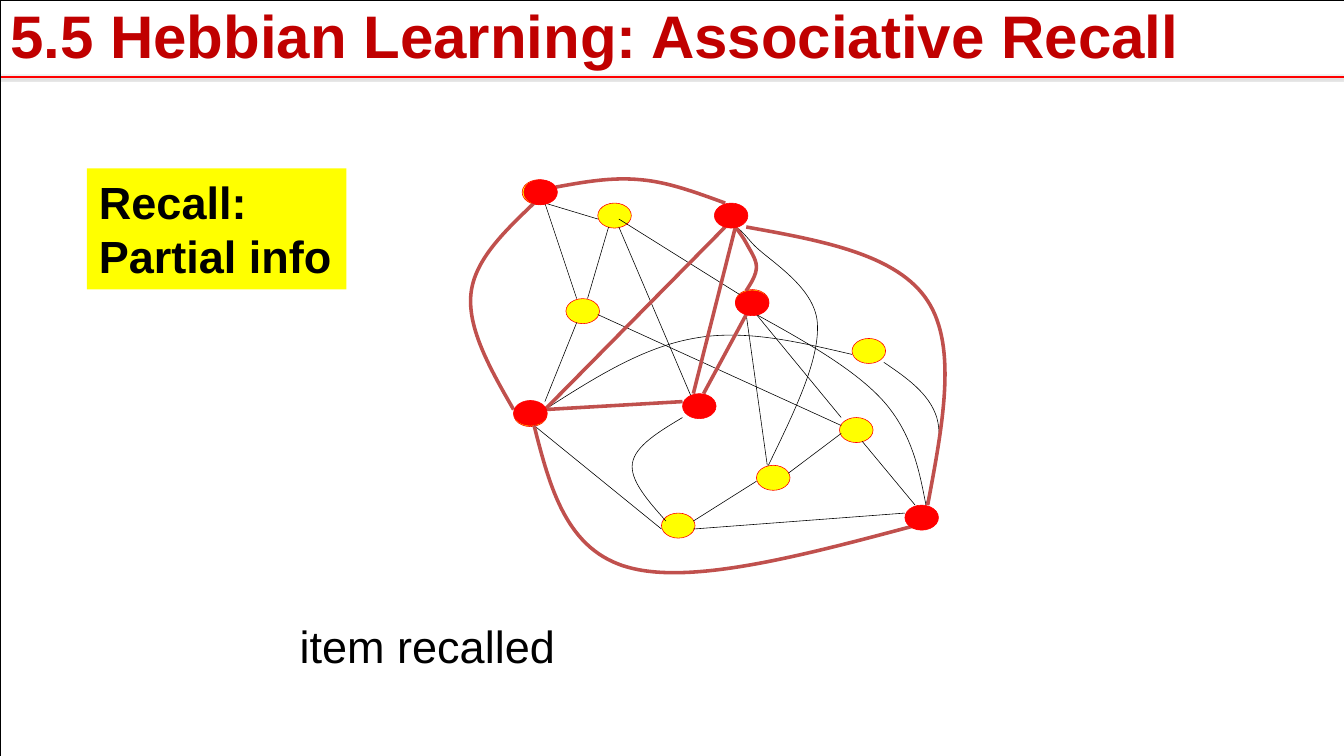
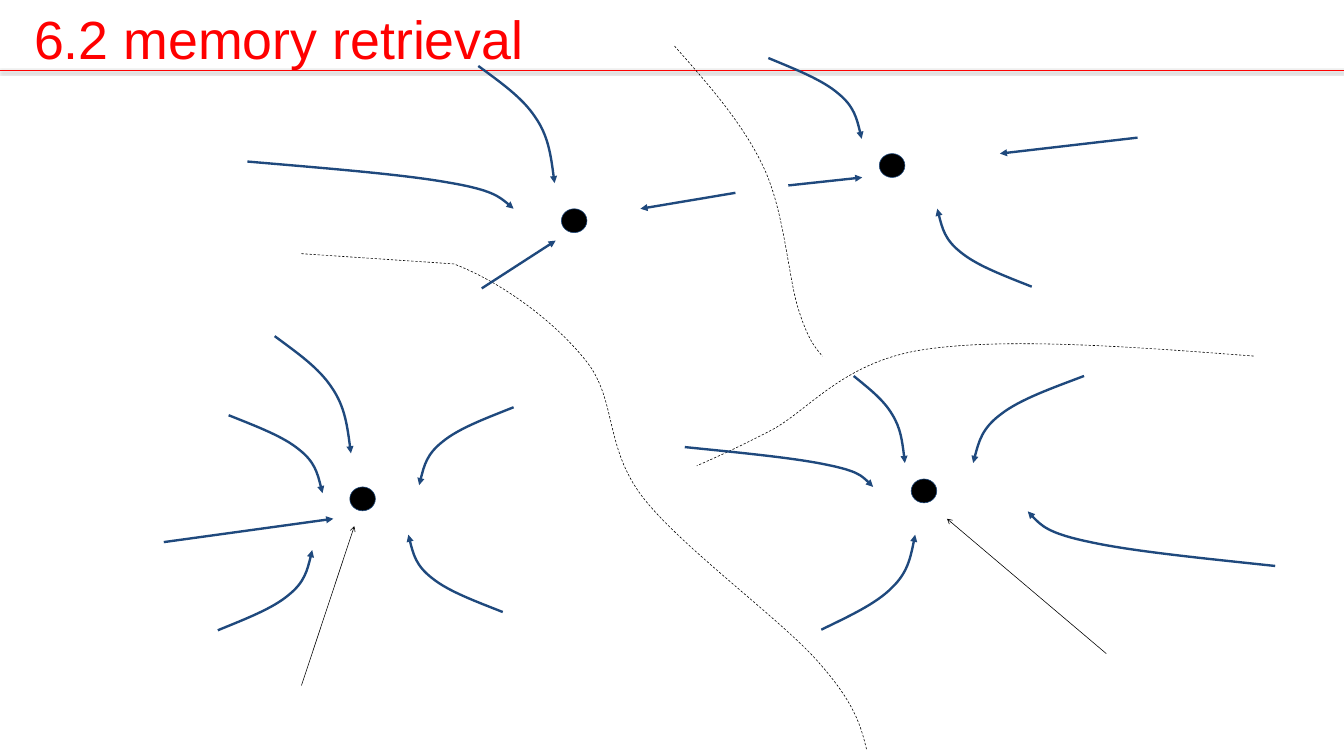
import pptx
import pptx.util
import pptx.dml.color
import pptx.enum.dml
import pptx.enum.shapes
import pptx.enum.text
import pptx.oxml
import pptx.oxml.ns
from dataclasses import dataclass
from lxml import etree

Inches, Pt = pptx.util.Inches, pptx.util.Pt
qn = pptx.oxml.ns.qn
SHAPE = pptx.enum.shapes.MSO_SHAPE
ANCHOR = pptx.enum.text.MSO_ANCHOR
WIDTH, HEIGHT = 23.63, 13.29


@dataclass(frozen=True)
class Theme:
    font: str = "Arial"
    black: str = "000000"
    red: str = "FF0000"
    dark_red: str = "C00000"
    brick: str = "C0504D"
    yellow: str = "FFFF00"
    navy: str = "1F497D"
    section_size: int = 76
    title_size: int = 68
    body_size: int = 57
    thin: float = 0.75
    rule: float = 2
    flow: float = 3
    strong: float = 4.5


T = Theme()
LINK = dict(color=T.black, width=T.thin)
RECALLED = dict(color=T.brick, width=T.strong)
BOUNDARY = dict(color=T.black, width=T.thin, dash=True)
FLOW = dict(color=T.navy, width=T.flow, head="triangle")
POINTER = dict(color=T.black, width=T.thin, head="arrow")


def rgb(value):
    return pptx.dml.color.RGBColor.from_string(value)


class Deck:
    def __init__(self):
        self.prs = pptx.Presentation()
        self.prs.slide_width = Inches(WIDTH)
        self.prs.slide_height = Inches(HEIGHT)
        self.s = None

    def slide(self, title, box, rule_y, **style):
        """Start a slide with its title and the red rule below it."""
        self.s = self.prs.slides.add_slide(self.prs.slide_layouts[5])
        sp = self.s.shapes.title
        sp.left, sp.top, sp.width, sp.height = map(Inches, box)
        self.set_text(sp, [title], **style)
        self.rule(rule_y)

    def set_text(self, sp, lines, anchor=ANCHOR.TOP, **style):
        tf = sp.text_frame
        frame = dict(word_wrap=False, vertical_anchor=anchor,
                     auto_size=pptx.enum.text.MSO_AUTO_SIZE.NONE,
                     margin_left=Inches(0.21), margin_right=Inches(0.21),
                     margin_top=Inches(0.11), margin_bottom=Inches(0.11))
        for name, value in frame.items():
            setattr(tf, name, value)
        font = dict(name=T.font, size=Pt(style["size"]), bold=style.get("bold", False))
        for i, line in enumerate(lines):
            p = tf.paragraphs[0] if i == 0 else tf.add_paragraph()
            p.alignment = pptx.enum.text.PP_ALIGN.LEFT
            r = p.add_run()
            r.text = line
            for name, value in font.items():
                setattr(r.font, name, value)
            r.font.color.rgb = rgb(style.get("color", T.black))

    def text(self, lines, box, **style):
        self.set_text(self.s.shapes.add_textbox(*map(Inches, box)), lines, **style)

    def shape(self, kind, box, fill=None, line=None):
        sp = self.s.shapes.add_shape(kind, *map(Inches, box))
        sp.shadow.inherit = False
        if fill:
            sp.fill.solid()
            sp.fill.fore_color.rgb = rgb(fill)
        else:
            sp.fill.background()
        if line:
            self.stroke(sp, line, T.thin)
        else:
            sp.line.fill.background()
        return sp

    def stroke(self, sp, color, width, dash=False, head=None):
        sp.line.color.rgb = rgb(color)
        sp.line.width = Pt(width)
        if dash:
            sp.line.dash_style = pptx.enum.dml.MSO_LINE.DASH
        if head:
            ln = sp._element.spPr.find(qn("a:ln"))
            etree.SubElement(ln, qn("a:tailEnd"), type=head)

    def line(self, start, end, **style):
        """Draw a straight connector and return its effect list."""
        c = self.s.shapes.add_connector(
            pptx.enum.shapes.MSO_CONNECTOR.STRAIGHT, *map(Inches, start + end))
        self.stroke(c, **style)
        return etree.SubElement(c._element.spPr, qn("a:effectLst"))

    def rule(self, y):
        effects = self.line((0, y), (WIDTH, y), color=T.red, width=T.rule)
        shadow = etree.SubElement(effects, qn("a:outerShdw"), blurRad="40000",
                                  dist="20000", dir="5400000", rotWithShape="0")
        color = etree.SubElement(shadow, qn("a:srgbClr"), val=T.black)
        etree.SubElement(color, qn("a:alpha"), val="38000")

    def curve(self, points, **style):
        """Draw cubic curves: a start, then two handles and an end for each."""
        points = [(Inches(x), Inches(y)) for x, y in points]
        builder = self.s.shapes.build_freeform(*points[0])
        builder.add_line_segments(points[1:], close=False)
        sp = builder.convert_to_shape()
        segments = list(sp._element.iter(qn("a:lnTo")))
        for i in range(0, len(segments), 3):
            cubic = etree.Element(qn("a:cubicBezTo"))
            segments[i].addprevious(cubic)
            for segment in segments[i:i + 3]:
                cubic.append(segment[0])
                segment.getparent().remove(segment)
        sp.shadow.inherit = False
        sp.fill.background()
        self.stroke(sp, **style)

    def flow(self, start, end):
        """Draw a bent arrow; every one has the same proportions."""
        bend = [(0, 0), (0.29, 0.14), (0.58, 0.27), (0.75, 0.44),
                (0.92, 0.6), (0.96, 0.8), (1, 1)]
        (x, y), (x2, y2) = start, end
        self.curve([(x + u * (x2 - x), y + v * (y2 - y)) for u, v in bend], **FLOW)

    def ellipses(self, corners, size, fill, line):
        for corner in corners:
            self.shape(SHAPE.OVAL, corner + size, fill, line)


def recall_slide(d):
    d.slide("5.5 Hebbian Learning: Associative Recall", (-0.03, -0.14, 21.17, 1.49), 1.35,
            size=T.section_size, color=T.dark_red, bold=True)
    d.shape(SHAPE.RECTANGLE, (0, 0, WIDTH, HEIGHT), line=T.black)

    # Resting neurons
    neuron = (0.59, 0.44)
    d.ellipses([(9.18, 3.16), (10.51, 3.57), (9.95, 5.25), (11.63, 9.02), (14.98, 5.95),
                (13.3, 8.18), (14.76, 7.34), (9.03, 7.06), (12.93, 5.09)],
               neuron, T.yellow, T.red)

    # Weak links
    for start, end in [
            ((10.7, 3.99), (10.33, 5.25)), ((10.88, 3.99), (12.19, 7.06)),
            ((13.12, 5.53), (13.49, 8.18)), ((10.88, 3.85), (13.12, 5.25)),
            ((13.3, 5.53), (14.79, 7.34)), ((13.86, 8.32), (14.79, 7.62)),
            ((15.16, 7.76), (16.09, 8.88)), ((12.19, 9.16), (13.3, 8.46)),
            ((9.39, 7.48), (11.63, 9.3)), ((10.51, 5.53), (14.79, 7.48)),
            ((12.19, 9.3), (15.91, 9.02)), ((9.58, 3.57), (10.14, 5.25)),
            ((9.58, 3.57), (10.51, 3.85)), ((10.14, 5.67), (9.58, 7.06))]:
        d.line(start, end, **LINK)
    for points in [
            [(12, 7.34), (11.58, 7.59), (11.17, 7.84), (11.12, 8.14),
             (11.07, 8.44), (11.39, 8.8), (11.71, 9.16)],
            [(15.54, 6.37), (15.94, 6.64), (16.34, 6.92), (16.47, 7.34),
             (16.59, 7.76), (16.43, 8.32), (16.28, 8.88)],
            [(9.58, 7.2), (10.44, 6.65), (11.29, 6.11), (12.19, 5.95),
             (13.09, 5.78), (14.03, 6.01), (14.98, 6.23)],
            [(12.93, 3.99), (12.95, 3.99), (12.98, 3.99), (13.22, 4.27), (13.46, 4.55),
             (14.32, 5.01), (14.37, 5.67), (14.42, 6.32), (13.96, 7.25), (13.51, 8.18)],
            [(13.3, 5.53), (14.17, 6.01), (15.04, 6.5), (15.54, 7.06),
             (16.03, 7.62), (16.16, 8.25), (16.28, 8.88)]]:
        d.curve(points, **LINK)

    # Strengthened links
    for start, end in [
            ((12.75, 3.99), (9.58, 7.2)), ((9.58, 7.2), (12, 7.06)),
            ((13.12, 5.53), (12.37, 6.92)), ((12.93, 3.99), (12.19, 6.92))]:
        d.line(start, end, **RECALLED)
    for points in [
            [(9.39, 3.57), (8.87, 4.07), (8.34, 4.57), (8.28, 5.17),
             (8.22, 5.78), (8.62, 6.49), (9.03, 7.2)],
            [(12.93, 3.99), (12.99, 4.07), (13.06, 4.16), (13.12, 4.27), (13.18, 4.39),
             (13.3, 4.55), (13.3, 4.69), (13.3, 4.83), (13.21, 4.97), (13.12, 5.11)],
            [(9.77, 3.29), (10.26, 3.2), (10.76, 3.11), (11.26, 3.16),
             (11.75, 3.2), (12.25, 3.39), (12.75, 3.57)],
            [(13.12, 3.99), (14.45, 4.23), (15.78, 4.47), (16.31, 5.29),
             (16.84, 6.1), (16.57, 7.49), (16.31, 8.88)],
            [(9.39, 7.48), (9.67, 8.58), (9.96, 9.69), (11.07, 9.98),
             (12.19, 10.28), (14.14, 9.76), (16.09, 9.24)]]:
        d.curve(points, **RECALLED)

    # Active neurons
    d.ellipses([(9.21, 3.16), (12, 6.92), (12.56, 3.57), (15.91, 8.88),
                (12.93, 5.11), (9.03, 7.04)], neuron, T.red, T.red)

    # Labels
    d.text(["item recalled"], (5.06, 10.77, 4.96, 1.17), size=T.body_size)
    sp = d.shape(SHAPE.RECTANGLE, (1.53, 2.96, 4.56, 2.13), fill=T.yellow)
    d.set_text(sp, ["Recall:", "Partial info"], anchor=ANCHOR.MIDDLE,
               size=T.body_size, bold=True)


def retrieval_slide(d):
    d.slide("6.2 memory retrieval", (0.39, 0, 9.12, 1.36), 1.24,
            size=T.title_size, color=T.red)

    # Attractors
    d.ellipses([(6.15, 8.56), (16.02, 8.42), (9.87, 3.67), (15.46, 2.7)],
               (0.45, 0.42), T.black, T.navy)

    # Basin boundaries
    for points in [
            [(5.3, 4.46), (6.19, 4.52), (7.09, 4.58), (7.98, 4.64), (8.82, 4.96),
             (9.75, 5.65), (10.3, 6.34), (10.85, 7.02), (10.62, 7.86), (11.3, 8.74),
             (11.98, 9.62), (13.72, 10.88), (14.38, 11.63), (15.04, 12.37),
             (15.14, 12.78), (15.24, 13.19)],
            [(22.04, 6.26), (19.84, 6.09), (17.64, 5.93), (16.22, 6.15), (14.8, 6.37),
             (14.2, 7.24), (13.53, 7.58), (12.87, 7.92), (12.56, 8.05), (12.25, 8.19)],
            [(11.86, 0.81), (12.47, 1.5), (13.07, 2.18), (13.43, 2.95), (13.79, 3.72),
             (13.86, 4.86), (14.03, 5.41), (14.2, 5.96), (14.33, 6.11), (14.46, 6.26)]]:
        d.curve(points, **BOUNDARY)

    # Bent flow arrows
    for start, end in [
            ((4.83, 5.91), (6.17, 7.97)), ((8.41, 1.16), (9.75, 3.22)),
            ((13.51, 1.02), (15.15, 2.44)), ((9.03, 7.16), (7.37, 8.53)),
            ((8.84, 10.76), (7.18, 9.4)), ((4.02, 7.3), (5.67, 8.67)),
            ((15.01, 6.61), (15.91, 8.14)), ((3.83, 11.08), (5.49, 9.67)),
            ((14.44, 11.07), (16.09, 9.4)), ((18.14, 5.04), (16.48, 3.67)),
            ((19.06, 6.61), (17.11, 8.14)), ((12.04, 7.86), (15.35, 8.56)),
            ((22.42, 9.95), (18.07, 8.99)), ((4.35, 2.84), (9.03, 3.67))]:
        d.flow(start, end)

    # Straight flow arrows
    for start, end in [
            ((2.88, 9.53), (5.86, 9.12)), ((20, 2.42), (17.58, 2.7)),
            ((8.47, 5.07), (9.77, 4.23)), ((12.93, 3.39), (11.26, 3.67)),
            ((13.86, 3.26), (15.16, 3.12))]:
        d.line(start, end, **FLOW)

    # Pointers to two attractors
    for start, end in [((5.3, 12.05), (6.23, 9.25)), ((19.45, 11.49), (16.65, 9.12))]:
        d.line(start, end, **POINTER)


def main():
    d = Deck()
    recall_slide(d)
    retrieval_slide(d)
    d.prs.save("out.pptx")


if __name__ == "__main__":
    main()
